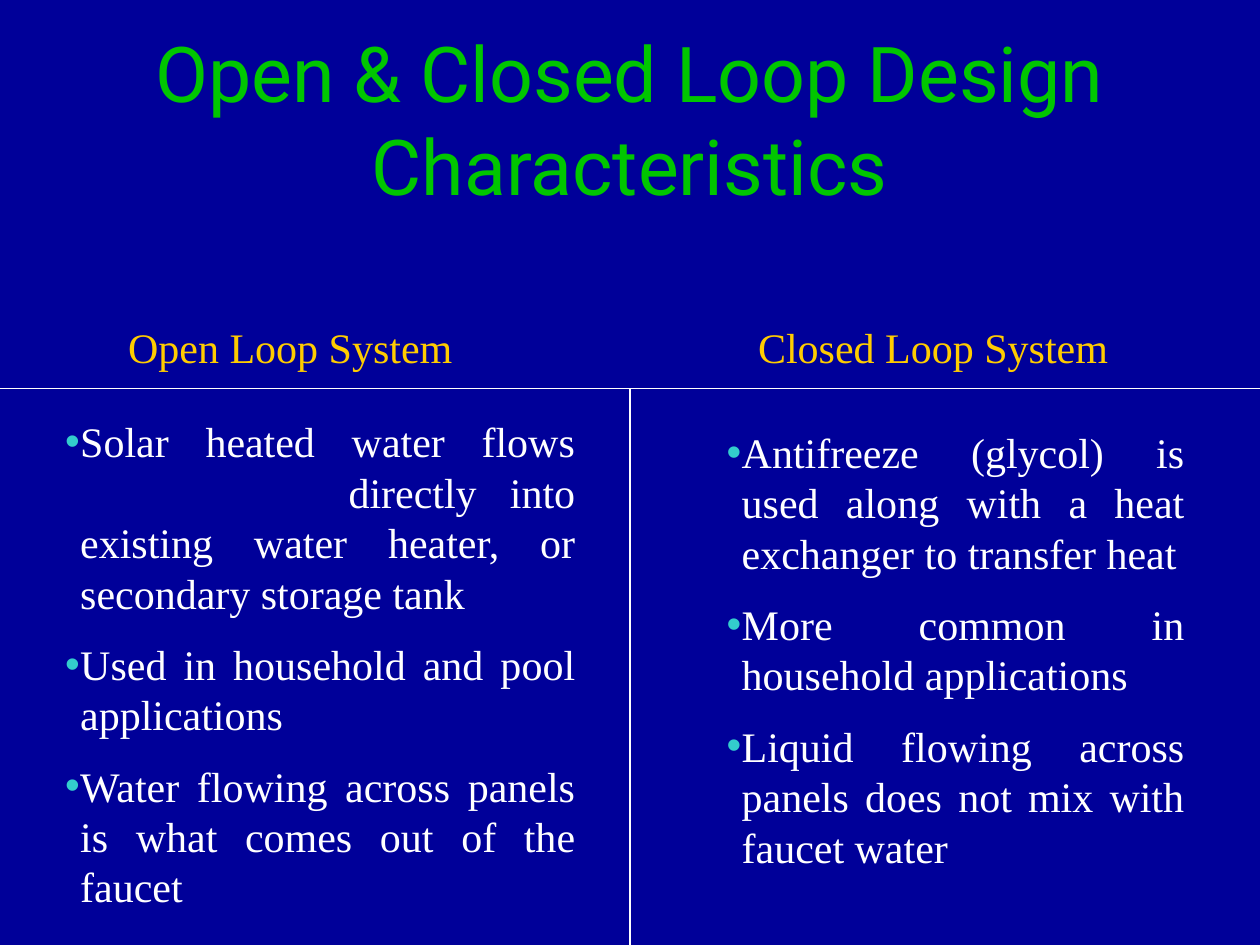
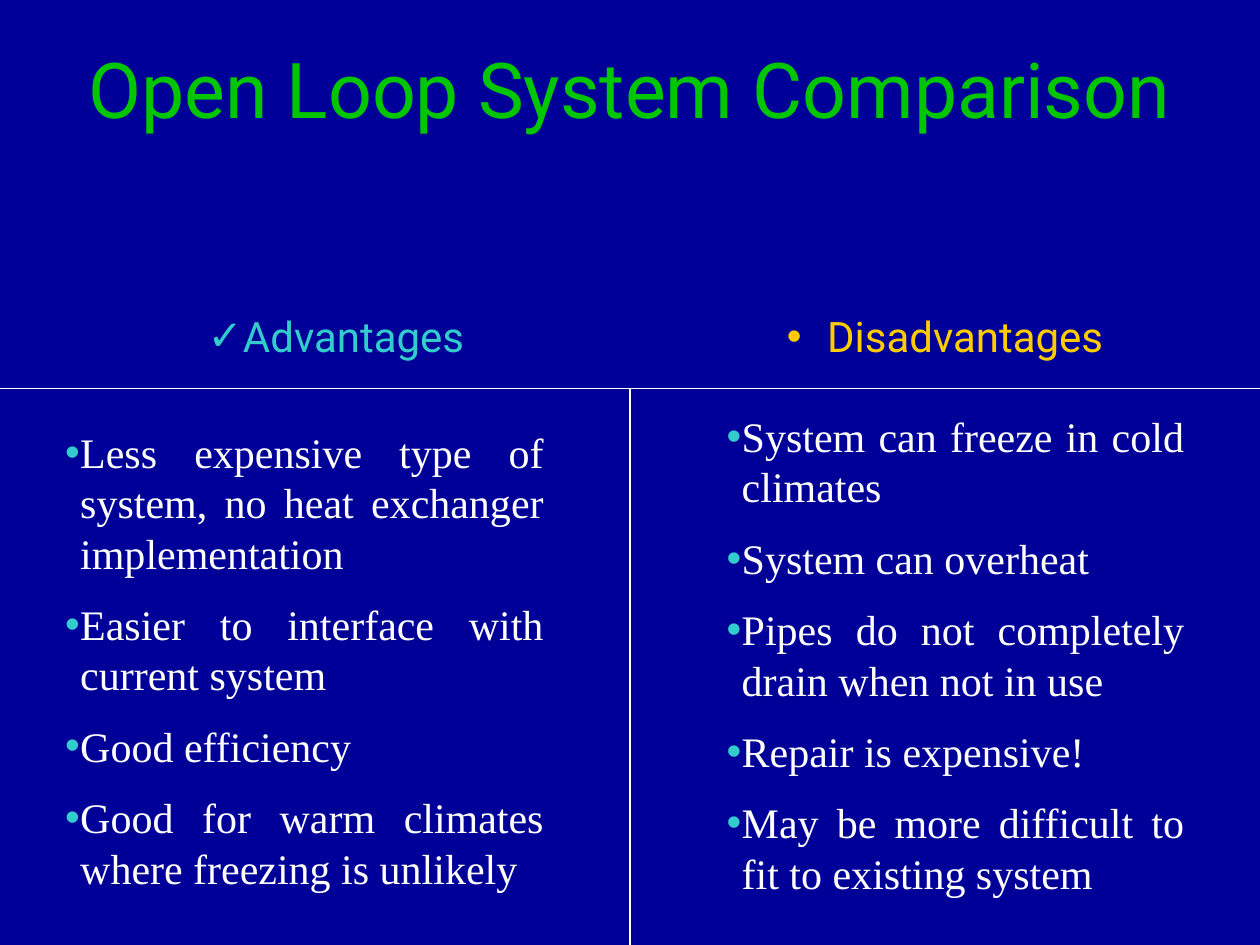
from lxml import etree
from pptx import Presentation
from pptx.dml.color import RGBColor
from pptx.enum.shapes import MSO_CONNECTOR
from pptx.enum.text import MSO_ANCHOR, MSO_AUTO_SIZE, PP_ALIGN
from pptx.oxml.ns import qn
from pptx.util import Inches, Pt

TOP, MIDDLE = MSO_ANCHOR.TOP, MSO_ANCHOR.MIDDLE
LEFT, CENTER, JUSTIFY = PP_ALIGN.LEFT, PP_ALIGN.CENTER, PP_ALIGN.JUSTIFY
FIXED, GROW = MSO_AUTO_SIZE.NONE, MSO_AUTO_SIZE.SHAPE_TO_FIT_TEXT
STRAIGHT = MSO_CONNECTOR.STRAIGHT

COLORS = {
    "background": "000099",
    "title": "00C600",
    "body": "FFFFFF",
    "accent": "33CCCC",
    "gold": "FFCC00",
    "rule": "FFFFFF",
}
SANS, SERIF = "Roboto", "Times New Roman"

# Grid of 120 columns and 90 rows, all boxes are (column, row, columns, rows)
COLUMNS, ROWS = 120, 90
CELL = Inches(10) // COLUMNS
RULE_ROW = 37
LIST_INDENT = 0.12

# Placeholder numbers (heading, list) of the comparison layout, left and right
COMPARISON_LAYOUT = 4
SIDES = ((1, 2), (3, 4))

SLIDES = [
    {
        "title": "Open & Closed Loop Design Characteristics",
        "title_box": (6, 2.2, 108, 18.1),
        "sides": [
            {
                "heading": "Open Loop System",
                "heading_box": (11, 30, 36, 6),
                "heading_style": {"font": SERIF, "color": "gold", "align": LEFT},
                "list_box": (5, 39, 51, 49.7),
                "points": [
                    "Solar heated water flows\v\tdirectly into existing water "
                    "heater, or secondary storage tank",
                    "Used in household and pool applications",
                    "Water flowing across panels is what comes out of the faucet",
                ],
            },
            {
                "heading": "Closed Loop System",
                "heading_box": (71, 30, 36, 6),
                "heading_style": {"font": SERIF, "color": "gold", "align": LEFT},
                "list_box": (68, 40, 46, 44.9),
                "points": [
                    "Antifreeze (glycol) is used along with a heat exchanger "
                    "to transfer heat",
                    "More common in household applications",
                    "Liquid flowing across panels does not mix with faucet water",
                ],
            },
        ],
    },
    {
        "title": "Open Loop System Comparison",
        "title_box": (6, 3.8, 108, 9.1),
        "sides": [
            {
                "heading": "Advantages",
                "heading_box": (10, 29, 44, 6),
                "heading_style": {"font": SANS, "color": "accent", "align": CENTER,
                                  "bullet": "✓", "indent": 0.26},
                "list_box": (5, 40, 48, 47.3),
                "points": [
                    "Less expensive type of system, no heat exchanger implementation",
                    "Easier to interface with current system",
                    "Good efficiency",
                    "Good for warm climates where freezing is unlikely",
                ],
            },
            {
                "heading": "Disadvantages",
                "heading_box": (70, 29, 40, 6),
                "heading_style": {"font": SANS, "color": "gold", "align": CENTER,
                                  "bullet": "•", "indent": 0.32},
                "list_box": (68, 38.5, 46, 49.7),
                "points": [
                    "System can freeze in cold climates",
                    "System can overheat",
                    "Pipes do not completely drain when not in use",
                    "Repair is expensive!",
                    "May be more difficult to fit to existing system",
                ],
            },
        ],
    },
]


def rgb(name):
    return RGBColor.from_string(COLORS[name])


def place(shape, box):
    shape.left, shape.top, shape.width, shape.height = (
        round(cells * CELL) for cells in box)


def set_bullet(para, bullet, color, indent):
    """Hang a bullet of the given colour in front of the paragraph."""
    props = para._p.get_or_add_pPr()
    props.set("marL", str(Inches(indent)))
    props.set("indent", str(-Inches(indent)))
    fill = etree.SubElement(props, qn("a:buClr"))
    etree.SubElement(fill, qn("a:srgbClr"), val=COLORS[color])
    etree.SubElement(props, qn("a:buFont"), typeface="Arial")
    etree.SubElement(props, qn("a:buChar"), char=bullet)


def set_tab(para, position):
    tabs = etree.SubElement(para._p.get_or_add_pPr(), qn("a:tabLst"))
    etree.SubElement(tabs, qn("a:tab"), pos=str(Inches(position)), algn="l")


def fill_text(holder, box, lines, font, color, align, size=24, anchor=TOP,
              fit=GROW, space=12, bullet=None, bullet_color=None, indent=0):
    """Move a placeholder to its box and write one paragraph per line."""
    place(holder, box)
    frame = holder.text_frame
    frame.word_wrap = True
    frame.auto_size = fit
    frame.vertical_anchor = anchor
    for number, line in enumerate(lines):
        para = frame.add_paragraph() if number else frame.paragraphs[0]
        para.text = line
        para.alignment = align
        para.space_before = Pt(space)
        para.font.name = font
        para.font.size = Pt(size)
        para.font.bold = False
        para.font.color.rgb = rgb(color)
        if bullet:
            set_bullet(para, bullet, bullet_color or color, indent)
        if "\t" in line:
            set_tab(para, 2.25)


def add_rule(page, start, end):
    ends = [round(cells * CELL) for cells in (*start, *end)]
    rule = page.shapes.add_connector(STRAIGHT, *ends)
    rule.line.color.rgb = rgb("rule")
    rule.line.width = Pt(0.75)
    etree.SubElement(rule._element.spPr, qn("a:effectLst"))


def add_side(page, side, heading_number, list_number):
    """One column: a heading above the rule, a bulleted list below it."""
    fill_text(page.placeholders[heading_number], side["heading_box"],
              [side["heading"]], **side["heading_style"])
    fill_text(page.placeholders[list_number], side["list_box"], side["points"],
              SERIF, "body", JUSTIFY, bullet="•", bullet_color="accent",
              indent=LIST_INDENT)


def add_comparison(deck, content):
    page = deck.slides.add_slide(deck.slide_layouts[COMPARISON_LAYOUT])
    # Title
    fill_text(page.shapes.title, content["title_box"], [content["title"]],
              SANS, "title", CENTER, size=44, anchor=MIDDLE, fit=FIXED, space=0)
    # Two columns
    for side, numbers in zip(content["sides"], SIDES):
        add_side(page, side, *numbers)
    # T-shaped divider
    add_rule(page, (0, RULE_ROW), (COLUMNS, RULE_ROW))
    add_rule(page, (COLUMNS / 2, RULE_ROW), (COLUMNS / 2, ROWS))


def main():
    deck = Presentation()
    deck.slide_width, deck.slide_height = COLUMNS * CELL, ROWS * CELL
    background = deck.slide_master.background.fill
    background.solid()
    background.fore_color.rgb = rgb("background")
    for content in SLIDES:
        add_comparison(deck, content)
    deck.save("out.pptx")


if __name__ == "__main__":
    main()
